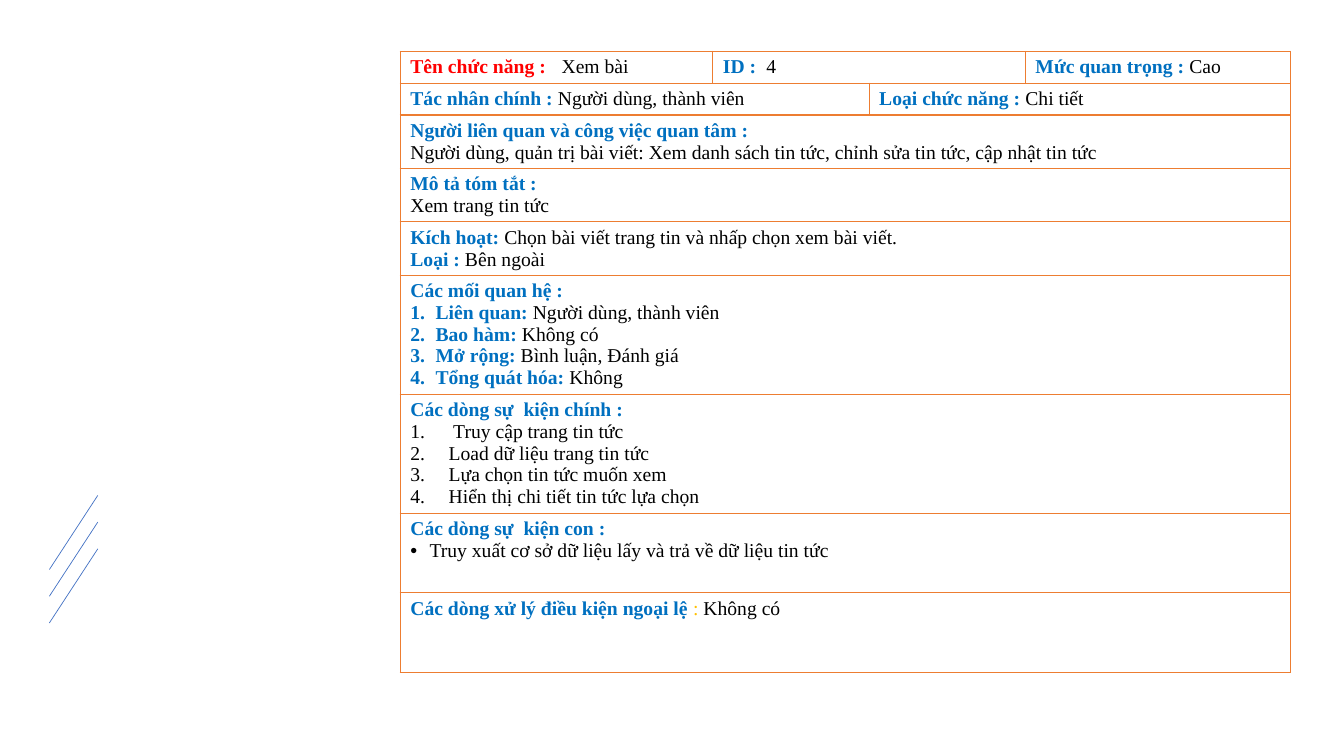
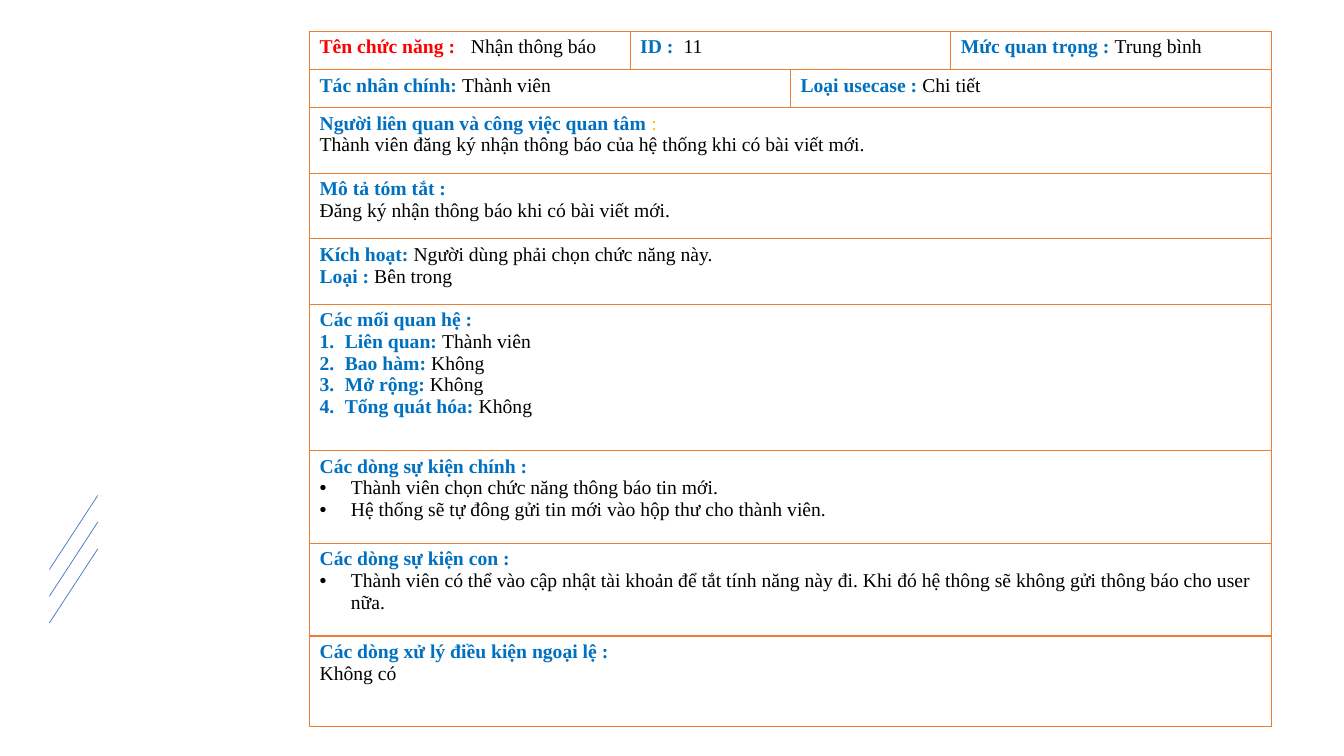
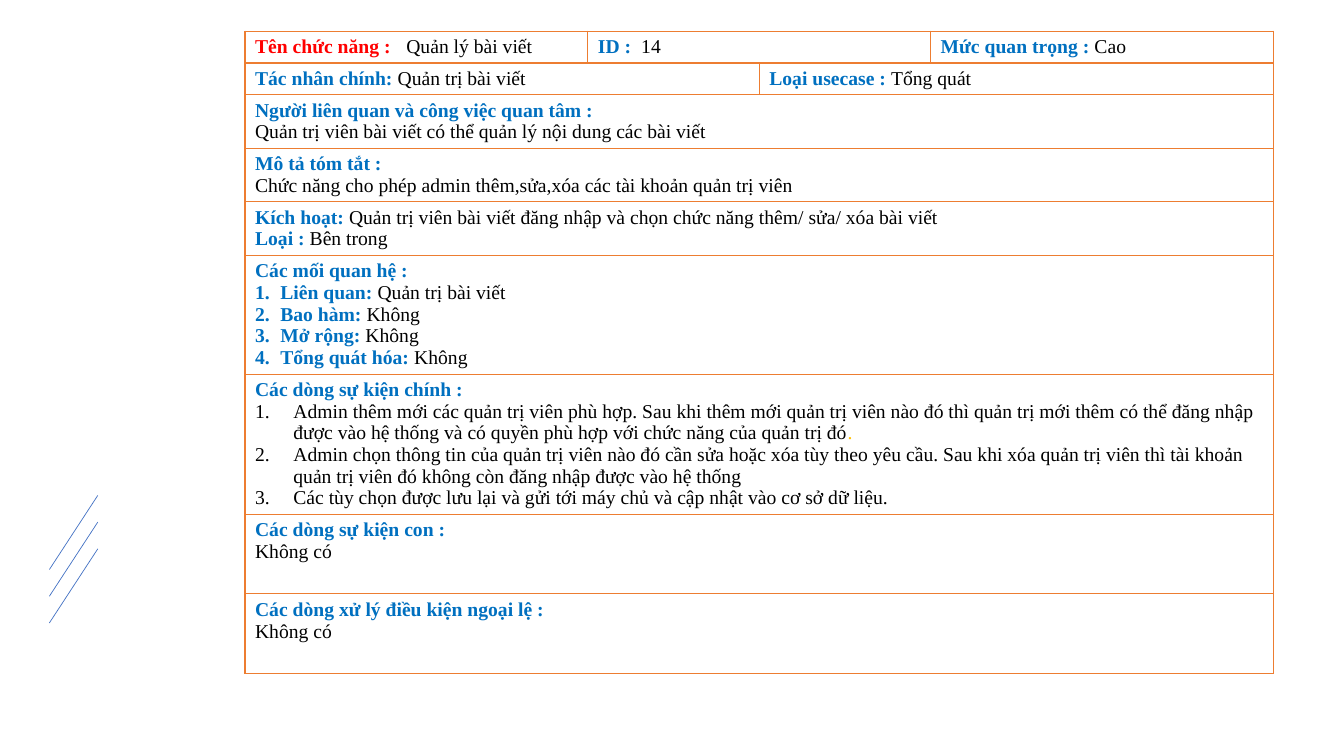
from dataclasses import dataclass
from typing import Optional

from lxml.etree import SubElement
from pptx import Presentation
from pptx.dml.color import RGBColor as Rgb
from pptx.enum.shapes import MSO_CONNECTOR as Connector
from pptx.oxml.ns import qn
from pptx.util import Inches, Pt


# Theme: colours and type sizes
@dataclass(frozen=True)
class Theme:
    font: str = "Times New Roman"
    size: int = 14
    name: str = "FF0000"
    label: str = "0070C0"
    value: str = "000000"
    mark: str = "FFC000"
    border: str = "ED7D31"
    border_width: float = 1
    stripe: str = "4472C4"
    stripe_width: float = 0.5


THEME = Theme()


# Content model
@dataclass(frozen=True)
class ListStyle:
    indent: float
    numbered: bool


RELATION = ListStyle(0.25, True)
STEP = ListStyle(0.38, True)
WIDE_BULLET = ListStyle(0.31, False)
NARROW_BULLET = ListStyle(0.19, False)


@dataclass(frozen=True)
class Line:
    """One paragraph: label, mark, value and closing mark, in that order."""
    label: str = ""
    value: str = ""
    mark: str = ""
    end_mark: str = ""
    style: Optional[ListStyle] = None
    tab: Optional[float] = None
    label_color: str = THEME.label


Section = list[Line]


@dataclass(frozen=True)
class UseCase:
    left: float
    top: float
    columns: tuple[float, ...]
    rows: tuple[float, ...]
    name: str
    number: str
    importance: str
    actor: Line
    kind: Line
    stakeholders: Section
    summary: str
    trigger: str
    origin: str
    relations: tuple[str, str, str, str]
    main_flow: Section
    sub_flow: Section
    exceptions: Section


STAKEHOLDERS = "Người liên quan và công việc quan tâm "
EXCEPTIONS = "Các dòng xử lý điều kiện ngoại lệ "
RELATION_LABELS = ("Liên quan: ", "Bao hàm: ", "Mở rộng: ", "Tổng quát hóa: ")


def titled(title: str, *values: str, style: Optional[ListStyle] = None) -> Section:
    return [Line(title)] + [Line(value=value, style=style) for value in values]


USE_CASES = [
    UseCase(
        left=3.97, top=0.51,
        columns=(3.1, 1.55, 1.55, 2.63),
        rows=(0.31, 0.31, 0.53, 0.53, 0.53, 1.18, 1.18, 0.79, 0.79),
        name="Xem bài", number="4", importance="Cao",
        actor=Line("Tác nhân chính : ", "Người dùng, thành viên"),
        kind=Line("Loại chức năng : ", "Chi tiết"),
        stakeholders=titled(
            STAKEHOLDERS + ":",
            "Người dùng, quản trị bài viết: Xem danh sách tin tức, "
            "chỉnh sửa tin tức, cập nhật tin tức"),
        summary="Xem trang tin tức",
        trigger="Chọn bài viết trang tin và nhấp chọn xem bài viết.",
        origin="Bên ngoài",
        relations=("Người dùng, thành viên", "Không có",
                   "Bình luận, Đánh giá", "Không"),
        main_flow=titled(
            "Các dòng sự  kiện chính :",
            " Truy cập trang tin tức",
            "Load dữ liệu trang tin tức",
            "Lựa chọn tin tức muốn xem",
            "Hiển thị chi tiết tin tức lựa chọn",
            style=STEP),
        sub_flow=titled(
            "Các dòng sự  kiện con :",
            "Truy xuất cơ sở dữ liệu lấy và trả về dữ liệu tin tức",
            style=NARROW_BULLET),
        exceptions=[Line(EXCEPTIONS, "Không có", mark=": ")],
    ),
    UseCase(
        left=3.07, top=0.31,
        columns=(3.18, 1.59, 1.59, 3.18),
        rows=(0.38, 0.38, 0.65, 0.65, 0.65, 1.45, 0.92, 0.92, 0.9),
        name="Nhận thông báo", number="11", importance="Trung bình",
        actor=Line("Tác nhân chính: ", "Thành viên"),
        kind=Line("Loại usecase : ", "Chi tiết"),
        stakeholders=[
            Line(STAKEHOLDERS, mark=":"),
            Line(value="Thành viên đăng ký nhận thông báo của hệ thống "
                       "khi có bài viết mới."),
        ],
        summary="Đăng ký nhận thông báo khi có bài viết mới.",
        trigger="Người dùng phải chọn chức năng này.",
        origin="Bên trong",
        relations=("Thành viên", "Không", "Không", "Không"),
        main_flow=titled(
            "Các dòng sự kiện chính :",
            "Thành viên chọn chức năng thông báo tin mới.",
            "Hệ thống sẽ tự đông gửi tin mới vào hộp thư cho thành viên.",
            style=WIDE_BULLET),
        sub_flow=titled(
            "Các dòng sự kiện con :",
            "Thành viên có thể vào cập nhật tài khoản để tắt tính năng này đi. "
            "Khi đó hệ thông sẽ không gửi thông báo cho user nữa.",
            style=WIDE_BULLET),
        exceptions=titled(EXCEPTIONS + ":", "Không có"),
    ),
    UseCase(
        left=2.43, top=0.31,
        columns=(3.4, 1.7, 1.7, 3.4),
        rows=(0.31, 0.31, 0.53, 0.53, 0.53, 1.18, 1.39, 0.79, 0.79),
        name="Quản lý bài viết", number="14", importance="Cao",
        actor=Line("Tác nhân chính: ", "Quản trị bài viết"),
        kind=Line("Loại usecase : ", "Tổng quát"),
        stakeholders=titled(
            STAKEHOLDERS + ":",
            "Quản trị viên bài viết có thể quản lý nội dung các bài viết"),
        summary="Chức năng cho phép admin thêm,sửa,xóa các tài khoản quản trị viên",
        trigger="Quản trị viên bài viết đăng nhập và chọn chức năng "
                "thêm/ sửa/ xóa bài viết",
        origin="Bên trong",
        relations=("Quản trị bài viết", "Không", "Không", "Không"),
        main_flow=[
            Line("Các dòng sự kiện chính :"),
            Line(value="Admin thêm mới các quản trị viên phù hợp. Sau khi thêm mới "
                       "quản trị viên nào đó thì quản trị mới thêm có thể đăng nhập "
                       "được vào hệ thống và có quyền phù hợp với chức năng của "
                       "quản trị đó",
                 end_mark=".", style=STEP),
            Line(value="Admin chọn thông tin của quản trị viên nào đó cần sửa hoặc "
                       "xóa tùy theo yêu cầu. Sau khi xóa quản trị viên thì tài khoản "
                       "quản trị viên đó không còn đăng nhập được vào hệ thống",
                 style=STEP),
            Line(value="Các tùy chọn được lưu lại và gửi tới máy chủ và cập nhật "
                       "vào cơ sở dữ liệu.",
                 style=STEP),
        ],
        sub_flow=titled("Các dòng sự kiện con :", "Không có"),
        exceptions=titled(EXCEPTIONS + ":", "Không có"),
    ),
]


# Paragraphs
def format_paragraph(paragraph, line: Line) -> None:
    properties = paragraph._p.get_or_add_pPr()
    if line.style:
        indent = Inches(line.style.indent)
        properties.set("marL", str(indent))
        properties.set("indent", str(-indent))
        if line.style.numbered:
            SubElement(properties, qn("a:buFont"), typeface="+mj-lt")
            SubElement(properties, qn("a:buAutoNum"), type="arabicPeriod")
        else:
            SubElement(properties, qn("a:buFont"), typeface="Arial")
            SubElement(properties, qn("a:buChar"), char="•")
    if line.tab:
        tabs = SubElement(properties, qn("a:tabLst"))
        SubElement(tabs, qn("a:tab"), pos=str(Inches(line.tab)), algn="l")


def write_line(paragraph, line: Line) -> None:
    format_paragraph(paragraph, line)
    parts = [
        (line.label, line.label_color, True),
        (line.mark, THEME.mark, False),
        (line.value, THEME.value, False),
        (line.end_mark, THEME.mark, False),
    ]
    for text, color, bold in parts:
        if text:
            run = paragraph.add_run()
            run.text = text
            run.font.name = THEME.font
            run.font.size = Pt(THEME.size)
            run.font.bold = bold
            run.font.color.rgb = Rgb.from_string(color)


# Table
def style_cell(cell) -> None:
    properties = cell._tc.get_or_add_tcPr()
    for side in ("a:lnL", "a:lnR", "a:lnT", "a:lnB"):
        border = SubElement(properties, qn(side), w=str(Pt(THEME.border_width)))
        fill = SubElement(border, qn("a:solidFill"))
        SubElement(fill, qn("a:srgbClr"), val=THEME.border)
    cell.fill.background()


def table_rows(case: UseCase) -> list[list[tuple[int, Section]]]:
    """Each row is a list of (columns spanned, lines)."""
    name = Line("Tên chức năng :\t", case.name, tab=1.5, label_color=THEME.name)
    number = Line("ID :\t", case.number, tab=0.43)
    importance = Line("Mức quan trọng : ", case.importance)
    relations = [Line(label, value, style=RELATION)
                 for label, value in zip(RELATION_LABELS, case.relations)]
    full_width = [
        case.stakeholders,
        titled("Mô tả tóm tắt :", case.summary),
        [Line("Kích hoạt: ", case.trigger), Line("Loại : ", case.origin)],
        [Line("Các mối quan hệ :")] + relations,
        case.main_flow,
        case.sub_flow,
        case.exceptions,
    ]
    return [
        [(1, [name]), (2, [number]), (1, [importance])],
        [(2, [case.actor]), (2, [case.kind])],
    ] + [[(4, section)] for section in full_width]


def draw_use_case(slide, case: UseCase) -> None:
    table = slide.shapes.add_table(
        len(case.rows), len(case.columns), Inches(case.left), Inches(case.top),
        Inches(sum(case.columns)), Inches(sum(case.rows))).table
    table.first_row = table.horz_banding = False
    for column, width in zip(table.columns, case.columns):
        column.width = Inches(width)
    for row, height in zip(table.rows, case.rows):
        row.height = Inches(height)
    for cell in table.iter_cells():
        style_cell(cell)

    for row_index, sections in enumerate(table_rows(case)):
        start = 0
        for span, section in sections:
            cell = table.cell(row_index, start)
            if span > 1:
                cell.merge(table.cell(row_index, start + span - 1))
            frame = cell.text_frame
            for index, line in enumerate(section):
                paragraph = frame.add_paragraph() if index else frame.paragraphs[0]
                write_line(paragraph, line)
            start += span


# Slanted stripes, kept on the layout that all slides share
def add_stripes(layout, slide) -> None:
    for index in range(3):
        bottom = 5.65 + index * 0.265
        stripe = slide.shapes.add_connector(
            Connector.STRAIGHT, Inches(0.49), Inches(bottom),
            Inches(0.97), Inches(bottom - 0.735))
        stripe.line.color.rgb = Rgb.from_string(THEME.stripe)
        stripe.line.width = Pt(THEME.stripe_width)
        SubElement(stripe.element.spPr, qn("a:effectLst"))
        stripe.element.xpath(".//p:cNvPr")[0].set("id", str(101 + index))
        layout.shapes.element.append(stripe.element)


def main() -> None:
    deck = Presentation()
    deck.slide_width, deck.slide_height = Inches(13.33), Inches(7.5)
    blank = deck.slide_layouts[6]
    slides = [deck.slides.add_slide(blank) for _ in USE_CASES]
    add_stripes(blank, slides[0])
    for slide, case in zip(slides, USE_CASES):
        draw_use_case(slide, case)
    deck.save("out.pptx")


if __name__ == "__main__":
    main()
